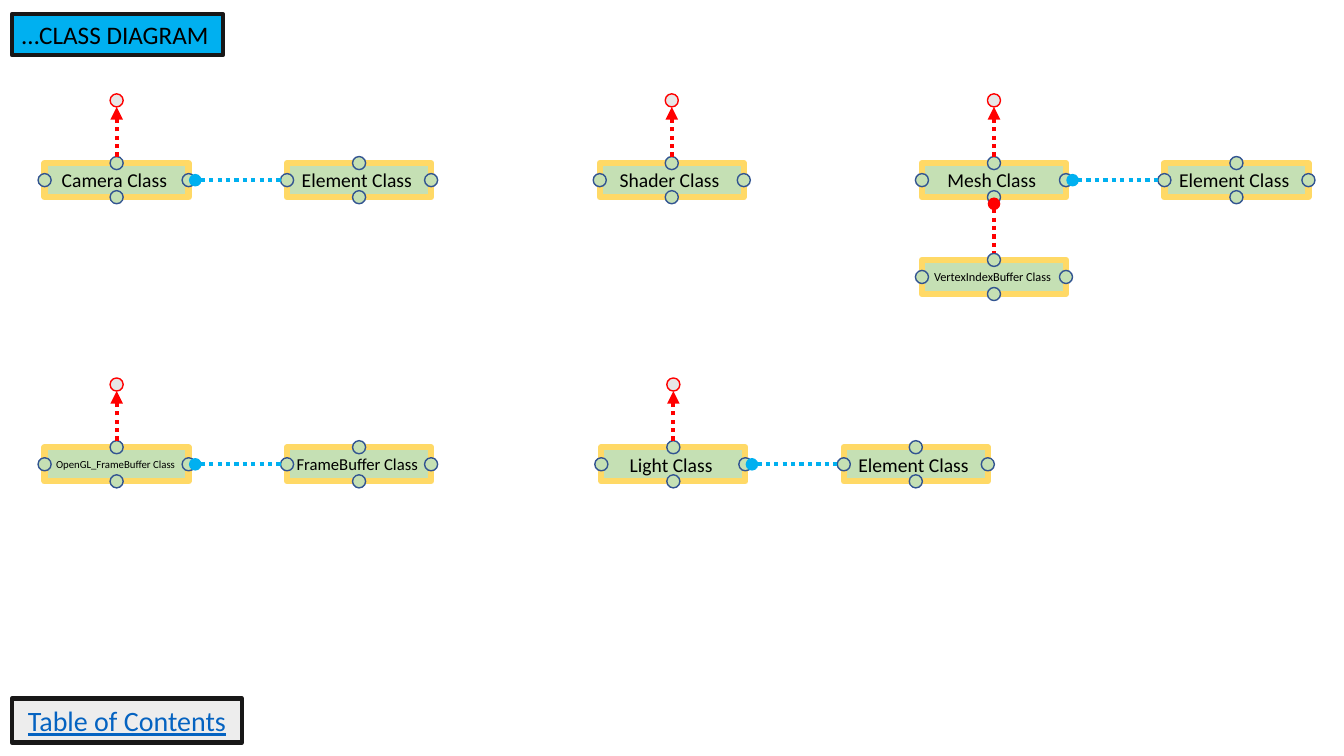
"""Build the class diagram slide."""
from dataclasses import dataclass

from lxml.etree import SubElement
from pptx import Presentation
from pptx.dml.color import RGBColor
from pptx.enum.dml import MSO_LINE
from pptx.enum.shapes import MSO_CONNECTOR, MSO_SHAPE
from pptx.enum.text import MSO_ANCHOR, PP_ALIGN
from pptx.oxml.ns import qn
from pptx.util import Cm, Pt


@dataclass(frozen=True)
class Theme:
    """Colours, font and type sizes of the slide."""
    font: str = "Calibri"
    text: str = "000000"
    link: str = "0563C1"
    frame: str = "181717"
    title_fill: str = "00B0F0"
    contents_fill: str = "EDEDED"
    class_fill: str = "C5E0B4"
    class_line: str = "FFD966"
    port_line: str = "325491"
    root_fill: str = "E7E6E6"
    inherits: str = "FF0000"
    contains: str = "00B0F0"
    title_size: float = 18
    contents_size: float = 20
    class_size: float = 14
    frame_width: float = 3
    class_width: float = 4.5
    port_width: float = 1


THEME = Theme()
TITLE = "…CLASS DIAGRAM"
CONTENTS = "Table of Contents"
TOP_ROW, BOTTOM_ROW = 4.54, 11.7
FAMILIES = [
    {"at": (2.94, TOP_ROW), "name": "Camera Class ", "part": "Element Class "},
    {"at": (2.94, BOTTOM_ROW), "name": "OpenGL_FrameBuffer Class ", "part": "FrameBuffer Class "},
    {"at": (16.93, TOP_ROW), "name": "Shader Class "},
    {"at": (16.97, BOTTOM_ROW), "name": "Light Class ", "part": "Element Class "},
    {"at": (25.05, TOP_ROW), "name": "Mesh Class ", "part": "Element Class ",
     "below": "VertexIndexBuffer Class "},
]
SMALL_SIZES = {"OpenGL_FrameBuffer Class ": 7.7, "FrameBuffer Class ": 11.9,
               "VertexIndexBuffer Class ": 8.8}

CLASS_WIDTH, CLASS_HEIGHT = 3.63, 0.86
PORT = 0.33
PORT_X, PORT_Y = CLASS_WIDTH / 2, CLASS_HEIGHT / 2
EDGE_X, EDGE_Y = PORT_X + PORT / 2, PORT_Y + PORT / 2
ROOT_RISE = 2.01
PART_STEP = 6.11
BELOW_STEP = 2.44


def add_box(shapes, kind, left, top, width, height, fill, line, line_width):
    """Add a filled and outlined shape."""
    shape = shapes.add_shape(kind, Cm(left), Cm(top), Cm(width), Cm(height))
    shape.shadow.inherit = False
    shape.fill.solid()
    shape.fill.fore_color.rgb = RGBColor.from_string(fill)
    shape.line.color.rgb = RGBColor.from_string(line)
    shape.line.width = Pt(line_width)
    return shape


def write(shape, text, size, color, alignment):
    """Write one line of text into a shape."""
    frame = shape.text_frame
    frame.word_wrap = True
    frame.vertical_anchor = MSO_ANCHOR.MIDDLE
    paragraph = frame.paragraphs[0]
    paragraph.text = text
    paragraph.alignment = alignment
    paragraph.font.name = THEME.font
    paragraph.font.size = Pt(size)
    paragraph.font.color.rgb = RGBColor.from_string(color)
    return paragraph


def add_circle(shapes, x, y, fill, line):
    """Add a small circle centred on a point."""
    add_box(shapes, MSO_SHAPE.OVAL, x - PORT / 2, y - PORT / 2, PORT, PORT,
            fill, line, THEME.port_width)


def add_class(x, y, name):
    """Add a class box with a port on each side."""
    shapes = slide.shapes.add_group_shape().shapes
    box = add_box(shapes, MSO_SHAPE.RECTANGLE, x - PORT_X, y - PORT_Y, CLASS_WIDTH, CLASS_HEIGHT,
                  THEME.class_fill, THEME.class_line, THEME.class_width)
    write(box, name, SMALL_SIZES.get(name, THEME.class_size), THEME.text, PP_ALIGN.CENTER)
    frame = box.text_frame
    frame.margin_left = frame.margin_right = frame.margin_top = frame.margin_bottom = 0
    for across, down in [(0, -PORT_Y), (PORT_X, 0), (-PORT_X, 0), (0, PORT_Y)]:
        add_circle(shapes, x + across, y + down, THEME.class_fill, THEME.port_line)


def add_link(start, end, color, end_tag, end_type):
    """Add a dotted connector with one end marker."""
    connector = slide.shapes.add_connector(
        MSO_CONNECTOR.STRAIGHT, *(Cm(value) for value in (*start, *end)))
    connector.line.color.rgb = RGBColor.from_string(color)
    connector.line.width = Pt(THEME.frame_width)
    connector.line.dash_style = MSO_LINE.ROUND_DOT
    properties = connector._element.spPr
    SubElement(properties.find(qn("a:ln")), qn(end_tag), type=end_type)
    SubElement(properties, qn("a:effectLst"))


def add_family(at, name, part=None, below=None):
    """Add a class, its root and the classes it holds."""
    x, y = at
    root_y = y - ROOT_RISE
    add_circle(slide.shapes, x, root_y, THEME.root_fill, THEME.inherits)
    add_class(x, y, name)
    add_link((x, y - EDGE_Y), (x, root_y + PORT / 2), THEME.inherits, "a:tailEnd", "triangle")
    if part:
        part_x = x + PART_STEP
        add_class(part_x, y, part)
        add_link((x + EDGE_X, y), (part_x - EDGE_X, y), THEME.contains, "a:headEnd", "oval")
    if below:
        below_y = y + BELOW_STEP
        add_class(x, below_y, below)
        add_link((x, y + EDGE_Y), (x, below_y - EDGE_Y), THEME.inherits, "a:headEnd", "oval")


presentation = Presentation()
presentation.slide_width, presentation.slide_height = Cm(33.87), Cm(19.05)
slide = presentation.slides.add_slide(presentation.slide_layouts[6])

title = add_box(slide.shapes, MSO_SHAPE.RECTANGLE, 0.3, 0.36, 5.32, 1.03,
                THEME.title_fill, THEME.frame, THEME.frame_width)
write(title, TITLE, THEME.title_size, THEME.text, PP_ALIGN.LEFT)

for family in FAMILIES:
    add_family(**family)

contents = add_box(slide.shapes, MSO_SHAPE.RECTANGLE, 0.3, 17.6, 5.8, 1.11,
                   THEME.contents_fill, THEME.frame, THEME.frame_width)
write(contents, CONTENTS, THEME.contents_size, THEME.link, PP_ALIGN.CENTER).font.underline = True

presentation.save("out.pptx")
